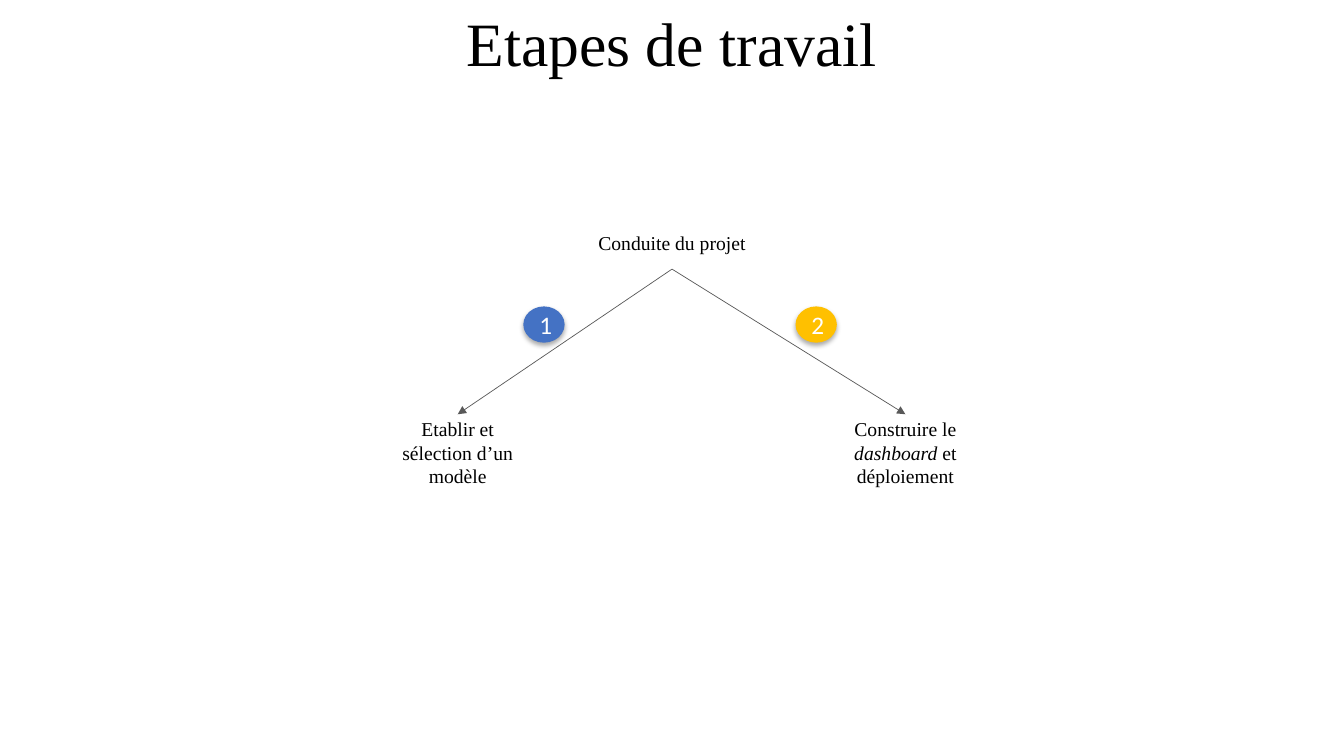
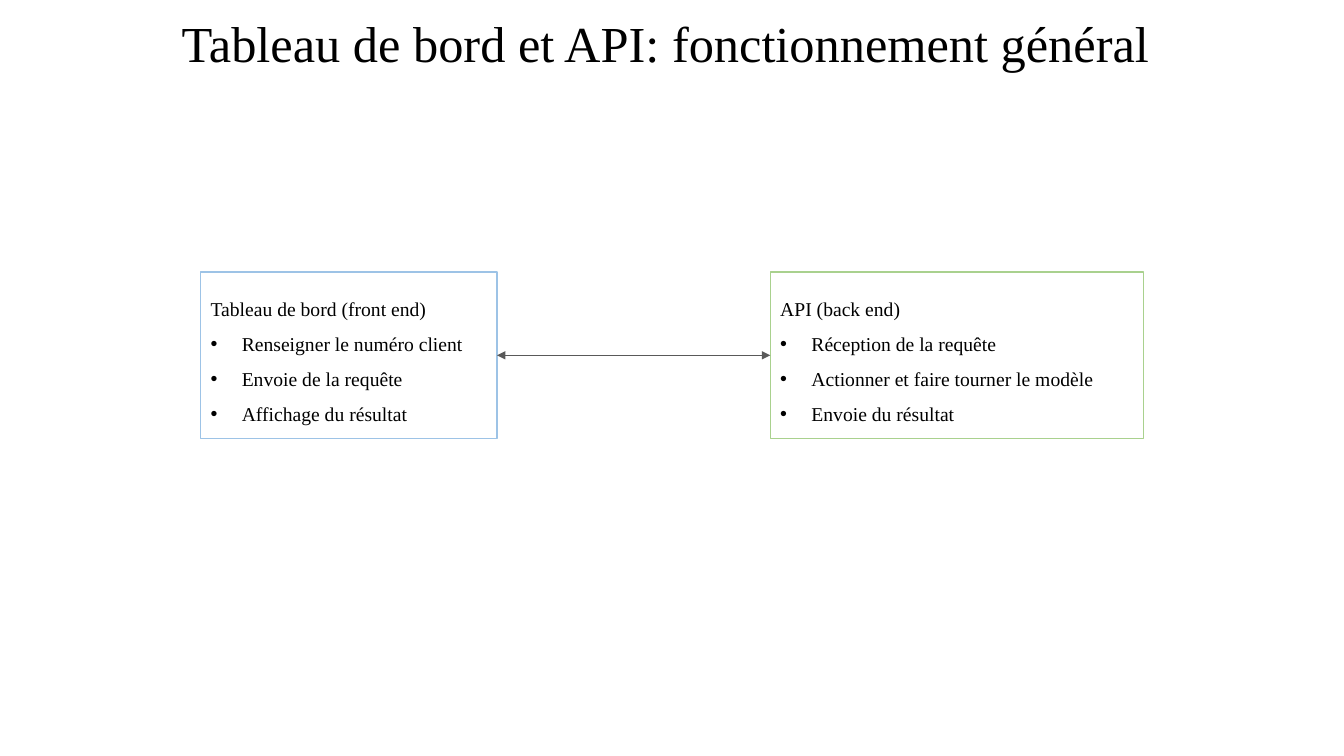
"""Builds two slides on the work steps and on the dashboard and its API."""
import pptx
import pptx.dml.color
import pptx.enum.shapes
import pptx.enum.text
import pptx.oxml
import pptx.oxml.ns
import pptx.util

Inches = pptx.util.Inches
Pt = pptx.util.Pt
ALIGN = pptx.enum.text.PP_ALIGN
SHAPE = pptx.enum.shapes.MSO_SHAPE
SERIF = "Times New Roman"
COLORS = {
    "text": "000000",
    "light": "FFFFFF",
    "line": "595959",
    "blue": "4472C4",
    "gold": "FFC000",
    "sky": "9DC3E6",
    "green": "A9D18E",
}


def color(name):
    return pptx.dml.color.RGBColor.from_string(COLORS[name])


def add_xml(parent, xml):
    space = pptx.oxml.ns.nsdecls("a")
    parent.append(pptx.oxml.parse_xml(xml.replace("/>", f" {space}/>", 1)
                                      if xml.endswith("/>") and xml.count("<") == 1
                                      else xml.replace(">", f" {space}>", 1)))


def style(para, size, font=SERIF, tint="text", align=ALIGN.CENTER, space=None):
    para.alignment = align
    if space:
        para.line_spacing = space
    para.font.size = Pt(size)
    para.font.name = font
    para.font.color.rgb = color(tint)


def add_text(slide, area, runs, size=14, space=None):
    box = slide.shapes.add_textbox(*map(Inches, area))
    frame = box.text_frame
    frame.word_wrap = True
    frame.vertical_anchor = pptx.enum.text.MSO_ANCHOR.MIDDLE
    para = frame.paragraphs[0]
    for text, slant in runs:
        run = para.add_run()
        run.text = text
        if slant:
            run.font.italic = True
    style(para, size, space=space)
    return box


def add_page(deck, title, size):
    slide = deck.slides.add_slide(deck.slide_layouts[6])
    add_text(slide, (0, 0, 13.33, 0.92), [(title, False)], size, 0.9)
    return slide


def add_link(slide, start, side, end, goal, ends=("tailEnd",)):
    kind = pptx.enum.shapes.MSO_CONNECTOR.STRAIGHT
    link = slide.shapes.add_connector(kind, 0, 0, 0, 0)
    link.begin_connect(start, side)
    link.end_connect(end, goal)
    link.line.width = Pt(0.5)
    link.line.color.rgb = color("line")
    for tip in ends:
        add_xml(link.line._get_or_add_ln(), f'<a:{tip} type="triangle"/>')
    add_xml(link._element.spPr, "<a:effectLst/>")


def add_badge(slide, left, label, tint):
    badge = slide.shapes.add_shape(
        SHAPE.OVAL, *map(Inches, (left, 3.04, 0.41, 0.36)))
    badge.fill.solid()
    badge.fill.fore_color.rgb = color(tint)
    badge.line.fill.background()
    badge.shadow.inherit = False
    effects = badge._element.spPr.find(pptx.oxml.ns.qn("a:effectLst"))
    add_xml(effects, f'<a:outerShdw blurRad="{Pt(3.5)}" dist="{Pt(2.2)}" dir="5400000">'
            '<a:srgbClr val="000000"><a:alpha val="32000"/></a:srgbClr></a:outerShdw>')
    para = badge.text_frame.paragraphs[0]
    para.text = label
    style(para, 18, "Calibri", "light")


def add_panel(slide, left, width, tint, head, items):
    panel = slide.shapes.add_shape(
        SHAPE.RECTANGLE, *map(Inches, (left, 2.7, width, 1.65)))
    panel.fill.background()
    panel.line.color.rgb = color(tint)
    panel.line.width = Pt(1)
    panel.shadow.inherit = False
    frame = panel.text_frame
    frame.text = "\n".join([head, *items])
    for rank, para in enumerate(frame.paragraphs):
        if rank:
            props = para._p.get_or_add_pPr()
            props.set("marL", str(Inches(0.31)))
            props.set("indent", str(-Inches(0.31)))
            add_xml(props, '<a:buFont typeface="Arial"/>')
            add_xml(props, '<a:buChar char="•"/>')
        style(para, 14, align=ALIGN.LEFT, space=1.5)
    return panel


def add_steps(deck):
    slide = add_page(deck, "Etapes de travail", 44)
    root = add_text(slide, (5.77, 2.14, 1.79, 0.53), [("Conduite du projet", False)])
    steps = [
        (3.8, [("Etablir et sélection d’un modèle", False)], 5.19, "blue"),
        (8.24, [("Construire le ", False), ("dashboard", True),
                (" et déploiement", False)], 7.89, "gold"),
    ]
    for rank, (left, runs, spot, tint) in enumerate(steps, 1):
        step = add_text(slide, (left, 4.11, 1.48, 0.76), runs)
        add_link(slide, root, 2, step, 0)
        add_badge(slide, spot, str(rank), tint)


def add_flow(deck):
    slide = add_page(deck, "Tableau de bord et API: fonctionnement général ", 36)
    front = add_panel(slide, 1.99, 2.94, "sky", "Tableau de bord (front end)", [
        "Renseigner le numéro client", "Envoie de la requête", "Affichage du résultat"])
    back = add_panel(slide, 7.64, 3.7, "green", "API (back end)", [
        "Réception de la requête", "Actionner et faire tourner le modèle",
        "Envoie du résultat"])
    add_link(slide, front, 3, back, 1, ("headEnd", "tailEnd"))


def main():
    deck = pptx.Presentation()
    deck.slide_width = Inches(13.33)
    deck.slide_height = Inches(7.5)
    add_steps(deck)
    add_flow(deck)
    deck.save("out.pptx")


if __name__ == "__main__":
    main()
